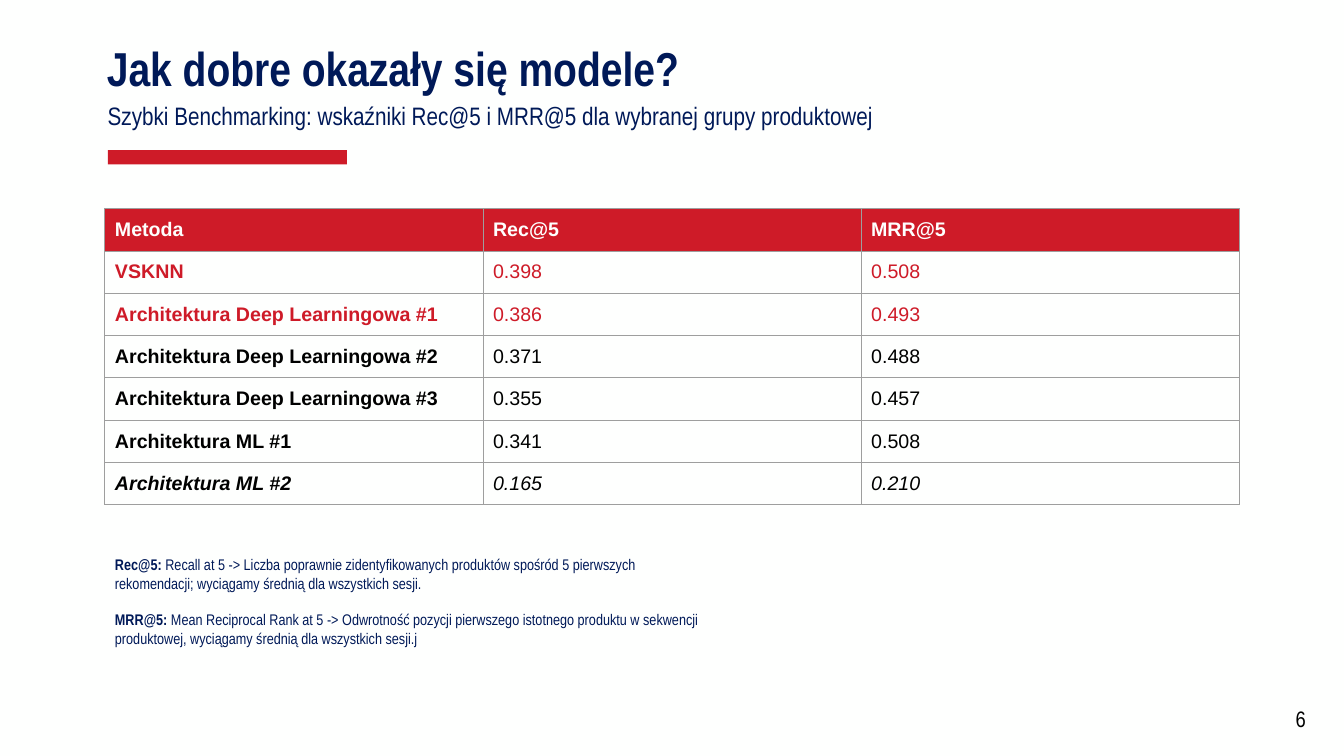
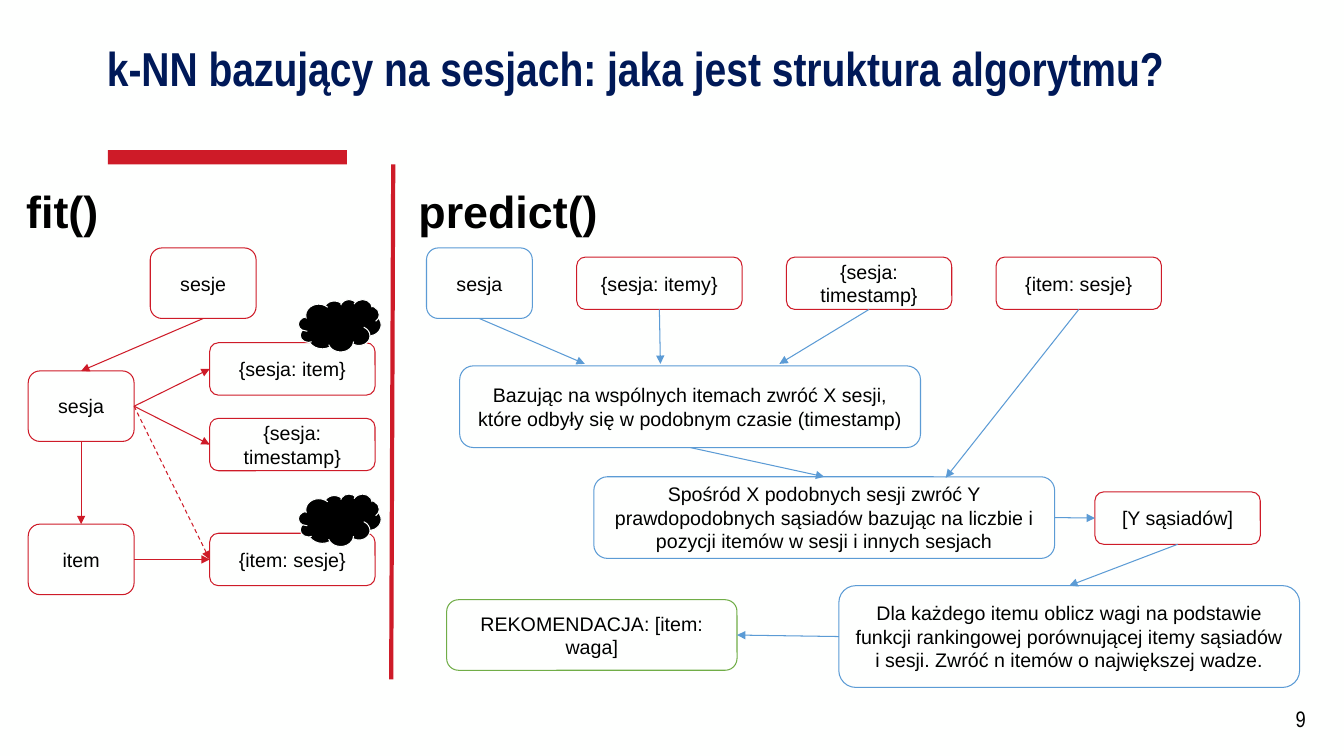
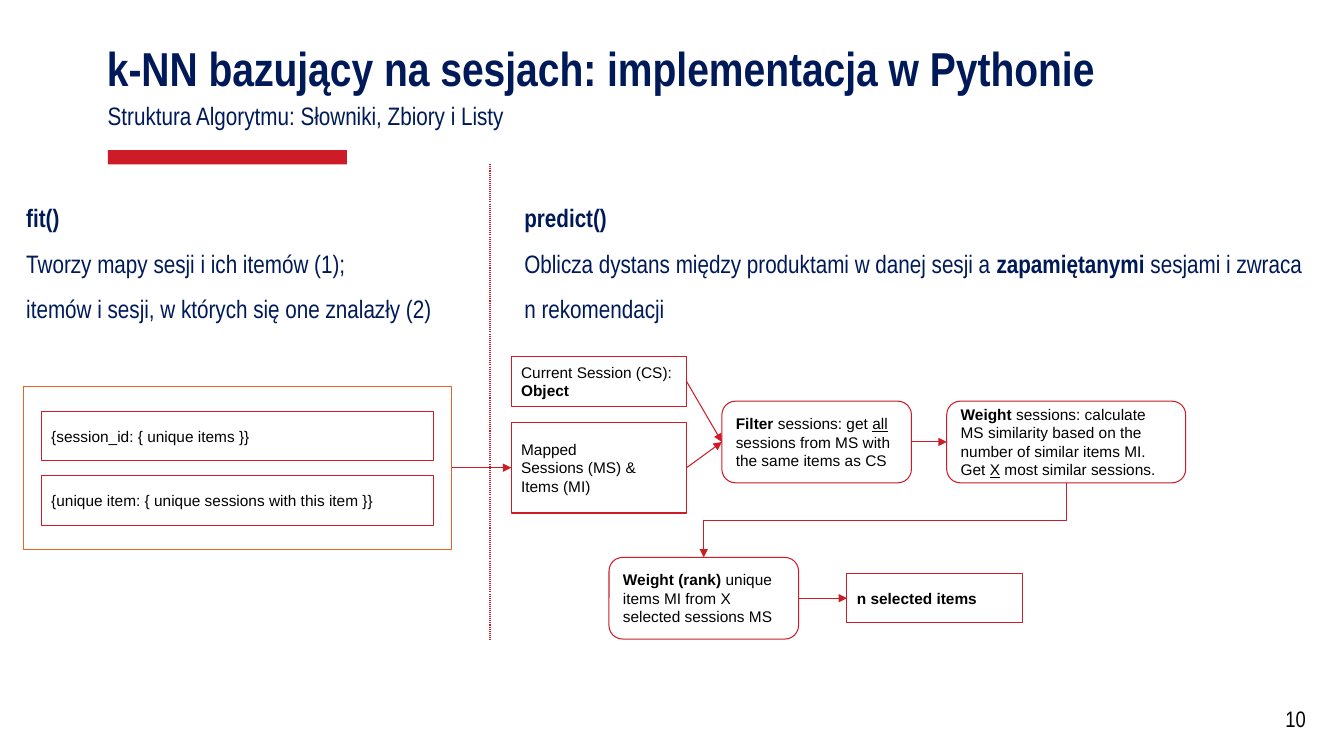
from lxml.etree import SubElement
from pptx import Presentation
from pptx.dml.color import RGBColor
from pptx.enum.dml import MSO_LINE
from pptx.enum.shapes import MSO_CONNECTOR, MSO_SHAPE
from pptx.enum.text import MSO_ANCHOR, MSO_AUTO_SIZE, PP_ALIGN
from pptx.oxml.ns import qn
from pptx.util import Inches, Pt

WHITE = RGBColor(0xFE, 0xFF, 0xFE)
BLACK = RGBColor(0, 0, 0)
RED = RGBColor(0xCE, 0x1B, 0x28)
NAVY = RGBColor(0x00, 0x19, 0x58)
BLUE = RGBColor(0x5B, 0x9B, 0xD5)
GREEN = RGBColor(0x70, 0xAD, 0x47)
ORANGE = RGBColor(0xEC, 0x62, 0x25)
GREY = RGBColor(0x9E, 0x9E, 0x9E)
SANS = "Arial"
NARROW = "Arial Narrow"
TOP, LEFT, BOTTOM, RIGHT = range(4)
SMALL = (1.05, 0.7)
MID = (1.64, 0.52)
WIDE = (4.57, 0.81)
CARD = (1.74, 0.49)
STEP = (1.88, 0.81)


def inch(*sizes):
    return [Inches(size) for size in sizes]


def write(frame, paras, size=14, font=SANS, color=BLACK, bold=False,
          slant=False, align=PP_ALIGN.LEFT, space=1.0, after=0):
    for i, runs in enumerate(paras):
        para = frame.paragraphs[0] if i == 0 else frame.add_paragraph()
        para.alignment = align
        para.line_spacing = space
        para.space_before = Pt(0)
        para.space_after = Pt(after)
        for part in [runs] if isinstance(runs, str) else runs:
            text, marks = (part, "") if isinstance(part, str) else part
            run = para.add_run()
            run.text = text
            face = run.font
            face.name = font
            face.size = Pt(size)
            face.bold = bold or "b" in marks
            face.italic = slant
            face.underline = "u" in marks
            face.color.rgb = color


def frame_of(shape, anchor=MSO_ANCHOR.MIDDLE, pad=0.05):
    frame = shape.text_frame
    frame.word_wrap = True
    frame.auto_size = MSO_AUTO_SIZE.NONE
    frame.vertical_anchor = anchor
    frame.margin_left = frame.margin_right = Inches(0.1)
    frame.margin_top = frame.margin_bottom = Inches(pad)
    return frame


def place(shape, box):
    shape.left, shape.top, shape.width, shape.height = inch(*box)


def label(slide, text, box, **style):
    write(frame_of(slide.shapes.add_textbox(*inch(*box))), [text],
          font=NARROW, **style)


def body(slide, index, box, paras, pad=0.1, **style):
    shape = slide.placeholders[index]
    place(shape, box)
    frame = frame_of(shape, MSO_ANCHOR.TOP, pad)
    write(frame, paras, **style)
    for para in frame.paragraphs:
        props = para._p.get_or_add_pPr()
        props.set("marL", "0")
        props.set("indent", "0")
        SubElement(props, qn("a:buNone"))


def form(slide, kind, box, fill=WHITE, edge=RED):
    shape = slide.shapes.add_shape(kind, *inch(*box))
    shape.shadow.inherit = False
    shape.fill.solid()
    shape.fill.fore_color.rgb = fill
    if edge is None:
        shape.line.fill.background()
    else:
        shape.line.color.rgb = edge
        shape.line.width = Pt(0.75)
    return shape


def node(slide, text, spot, size, edge=RED):
    shape = form(slide, MSO_SHAPE.FLOWCHART_ALTERNATE_PROCESS,
                 (*spot, *size), edge=edge)
    write(frame_of(shape, pad=0.1), [text], align=PP_ALIGN.CENTER)
    return shape


def card(slide, paras, spot, size=CARD, kind=MSO_SHAPE.RECTANGLE):
    shape = form(slide, kind, (*spot, *size))
    write(frame_of(shape, pad=0.1), paras, size=11)
    return shape


def step(slide, runs, spot, size=STEP):
    return card(slide, [runs], spot, size, MSO_SHAPE.ROUNDED_RECTANGLE)


def stroke(line, color, width, dash, arrow):
    line.line.color.rgb = color
    line.line.width = Pt(width)
    if dash is not None:
        line.line.dash_style = dash
    props = line.element.spPr
    if arrow:
        SubElement(props.find(qn("a:ln")), qn("a:tailEnd"), type="triangle")
    SubElement(props, qn("a:effectLst"))


def link(slide, start, end, color=RED, width=0.75, dash=None, arrow=True):
    line = slide.shapes.add_connector(MSO_CONNECTOR.STRAIGHT, 0, 0, 0, 0)
    if isinstance(start[0], float):
        line.begin_x, line.begin_y = inch(*start)
    else:
        line.begin_connect(*start)
    if isinstance(end[0], float):
        line.end_x, line.end_y = inch(*end)
    else:
        line.end_connect(*end)
    stroke(line, color, width, dash, arrow)


def elbow(slide, upper, lower):
    x1, y1 = upper.left + upper.width // 2, upper.top + upper.height
    x2, y2 = lower.left + lower.width // 2, lower.top
    wide, high = y2 - y1, x1 - x2
    left, top = (x1 + x2 - wide) // 2, (y1 + y2 - high) // 2
    line = slide.shapes.add_connector(
        MSO_CONNECTOR.ELBOW, left, top, left + wide, top + high)
    line.element.spPr.find(qn("a:xfrm")).set("rot", "5400000")
    stroke(line, RED, 0.75, None, True)


def page(deck, layout, number, title, subtitle=None):
    slide = deck.slides.add_slide(deck.slide_layouts[layout])
    head = slide.shapes.title
    place(head, (0.96, 0.45, 11.76, 0.55))
    write(frame_of(head, MSO_ANCHOR.TOP), [title], size=34, font=NARROW,
          color=NAVY, bold=True, space=0.8)
    if subtitle:
        label(slide, subtitle, (0.97, 0.98, 11.25, 0.38), size=18,
              color=NAVY, space=0.8)
    form(slide, MSO_SHAPE.RECTANGLE, (1.07, 1.49, 2.37, 0.14), RED, None)
    label(slide, number, (12.49, 7.01, 0.56, 0.23), size=16,
          align=PP_ALIGN.RIGHT)
    return slide


def border(cell):
    props = cell._tc.get_or_add_tcPr()
    for side in ("L", "R", "T", "B"):
        edge = SubElement(props, qn("a:ln" + side), w=str(Pt(0.75)))
        fill = SubElement(edge, qn("a:solidFill"))
        SubElement(fill, qn("a:srgbClr"), val=str(GREY))


def grid(slide, rows, spot, wide, high):
    count = len(rows[0])
    table = slide.shapes.add_table(
        len(rows), count, *inch(*spot, wide * count, high * len(rows))).table
    table.horz_banding = False
    for r, row in enumerate(rows):
        table.rows[r].height = Inches(high)
        color = WHITE if r == 0 else RED if r < 3 else BLACK
        for c, text in enumerate(row):
            cell = table.cell(r, c)
            cell.margin_top = cell.margin_bottom = Inches(0.1)
            border(cell)
            if r == 0:
                cell.fill.solid()
                cell.fill.fore_color.rgb = RED
            else:
                cell.fill.background()
            write(cell.text_frame, [text], color=color,
                  bold=r == 0 or c == 0, slant=r == len(rows) - 1)


def scores(deck):
    slide = page(
        deck, 1, "6", "Jak dobre okazały się modele?",
        "Szybki Benchmarking: wskaźniki Rec@5 i MRR@5 dla wybranej grupy produktowej")
    grid(slide, [
        ("Metoda", "Rec@5", "MRR@5"),
        ("VSKNN", "0.398", "0.508"),
        ("Architektura Deep Learningowa #1", "0.386", "0.493"),
        ("Architektura Deep Learningowa #2", "0.371", "0.488"),
        ("Architektura Deep Learningowa #3", "0.355", "0.457"),
        ("Architektura ML #1", "0.341", "0.508"),
        ("Architektura ML #2", "0.165", "0.210"),
    ], (1.04, 2.07), 3.75, 0.42)
    body(slide, 1, (1.04, 5.46, 6.13, 1.1), [
        [("Rec@5:", "b"),
         " Recall at 5 -> Liczba poprawnie zidentyfikowanych produktów spośród 5 "
         "pierwszych rekomendacji; wyciągamy średnią dla wszystkich sesji."],
        [("MRR@5: ", "b"),
         "Mean Reciprocal Rank at 5 -> Odwrotność pozycji pierwszego istotnego "
         "produktu w sekwencji produktowej, wyciągamy średnią dla wszystkich sesji.j"],
    ], pad=0.05, size=11, font=NARROW, color=NAVY, after=13)


def fit_flow(slide):
    start = node(slide, "sesje", (1.49, 2.46), SMALL)
    visit = node(slide, "sesja", (0.28, 3.68), SMALL)
    item = node(slide, "item", (0.28, 5.2), SMALL)
    items, times, visits = [
        node(slide, text, (2.08, y), MID) for text, y in (
            ("{sesja: item}", 3.4), ("{sesja: timestamp}", 4.15),
            ("{item: sesje}", 5.29))]
    link(slide, (start, BOTTOM), (visit, TOP))
    link(slide, (visit, BOTTOM), (item, TOP))
    link(slide, (visit, RIGHT), (items, LEFT))
    link(slide, (visit, RIGHT), (times, LEFT))
    link(slide, (item, RIGHT), (visits, LEFT))
    link(slide, (visit, RIGHT), (visits, LEFT), dash=MSO_LINE.DASH)
    for y in (2.97, 4.9):
        form(slide, MSO_SHAPE.CLOUD, (2.96, y, 0.82, 0.52), BLACK, WHITE)


def predict_flow(slide):
    visit = node(slide, "sesja", (4.23, 2.46), SMALL, BLUE)
    items, times, visits = [
        node(slide, text, (5.72 + 2.08 * i, 2.55), MID) for i, text in
        enumerate(("{sesja: itemy}", "{sesja: timestamp}", "{item: sesje}"))]
    find = node(
        slide, "Bazując na wspólnych itemach zwróć X sesji, które odbyły się "
        "w podobnym czasie (timestamp)", (4.56, 3.63), WIDE, BLUE)
    pick = node(
        slide, "Spośród X podobnych sesji zwróć Y prawdopodobnych sąsiadów "
        "bazując na liczbie i pozycji itemów w sesji i innych sesjach",
        (5.89, 4.73), WIDE, BLUE)
    rank = node(
        slide, "Dla każdego itemu oblicz wagi na podstawie funkcji rankingowej "
        "porównującej itemy sąsiadów i sesji. Zwróć n itemów o największej wadze.",
        (8.32, 5.81), (4.57, 1.01), BLUE)
    near = node(slide, "[Y sąsiadów]", (10.86, 4.88), MID)
    final = node(slide, "REKOMENDACJA: [item: waga]", (4.43, 5.95),
                 (2.88, 0.7), GREEN)
    for start, end in (
            ((visit, BOTTOM), (5.8, 3.61)),
            ((items, BOTTOM), (6.55, 3.61)),
            ((times, BOTTOM), (7.73, 3.61)),
            ((find, BOTTOM), (pick, TOP)),
            ((visits, BOTTOM), (9.38, 4.74)),
            ((pick, RIGHT), (near, LEFT)),
            ((near, BOTTOM), (rank, TOP)),
            ((rank, LEFT), (final, RIGHT))):
        link(slide, start, end, BLUE)


def design(deck):
    slide = page(deck, 3, "9",
                 "k-NN bazujący na sesjach: jaka jest struktura algorytmu?")
    link(slide, (3.9, 1.63), (3.88, 6.74), width=3, arrow=False)
    for index, x, text in ((1, 0.16, "fit()"), (2, 4.05, "predict()")):
        body(slide, index, (x, 1.72, 2.25, 0.74), [text], size=32, bold=True)
    fit_flow(slide)
    predict_flow(slide)


def coding(deck):
    slide = page(deck, 3, "10",
                 "k-NN bazujący na sesjach: implementacja w Pythonie",
                 "Struktura Algorytmu: Słowniki, Zbiory i Listy")
    link(slide, (4.86, 1.63), (4.86, 6.34), dash=MSO_LINE.ROUND_DOT, arrow=False)
    style = dict(size=18, font=NARROW, color=NAVY, space=1.5)
    body(slide, 1, (0.16, 1.76, 4.52, 1.41), [
        [("fit()", "b")],
        "Tworzy mapy sesji i ich itemów (1);",
        "itemów i sesji, w których się one znalazły (2)"], **style)
    body(slide, 2, (5.1, 1.76, 8.06, 1.41), [
        [("predict()", "b")],
        ["Oblicza dystans między produktami w danej sesji a ",
         ("zapamiętanymi", "b"), " sesjami i zwraca n rekomendacji"]], **style)
    maps = form(slide, MSO_SHAPE.RECTANGLE, (0.23, 3.83, 4.25, 1.62), edge=ORANGE)
    for y, text in ((4.08, "{session_id: { unique items }}"),
                    (4.72, "{unique item: { unique sessions with this item }}")):
        card(slide, [text], (0.41, y), (3.89, 0.49))
    mapped = card(slide, ["Mapped", "Sessions (MS) & Items (MI)"],
                  (5.07, 4.19), (1.74, 0.9))
    current = card(slide, [["Current Session (CS): ", ("Object", "b")]],
                   (5.07, 3.54))
    sieve = step(slide, [("Filter", "b"), " sessions: get ", ("all", "u"),
                         " sessions from MS with the same items as CS"],
                 (7.16, 3.98))
    weigh = step(slide, [("Weight", "b"),
                         " sessions: calculate MS similarity based on the number "
                         "of similar items MI. Get ", ("X", "u"),
                         " most similar sessions."], (9.39, 3.98), (2.37, 0.81))
    rank = step(slide, [("Weight (rank)", "b"),
                        " unique items MI from X selected sessions MS"],
                (6.04, 5.53))
    final = card(slide, [[("n selected items", "b")]], (8.4, 5.69))
    for start, end in ((current, sieve), (mapped, sieve), (sieve, weigh),
                       (rank, final), (maps, mapped)):
        link(slide, (start, RIGHT), (end, LEFT))
    elbow(slide, weigh, rank)


def main():
    deck = Presentation()
    deck.slide_width, deck.slide_height = inch(13.33, 7.5)
    back = deck.slide_master.background.fill
    back.solid()
    back.fore_color.rgb = WHITE
    scores(deck)
    design(deck)
    coding(deck)
    deck.save("out.pptx")


if __name__ == "__main__":
    main()
